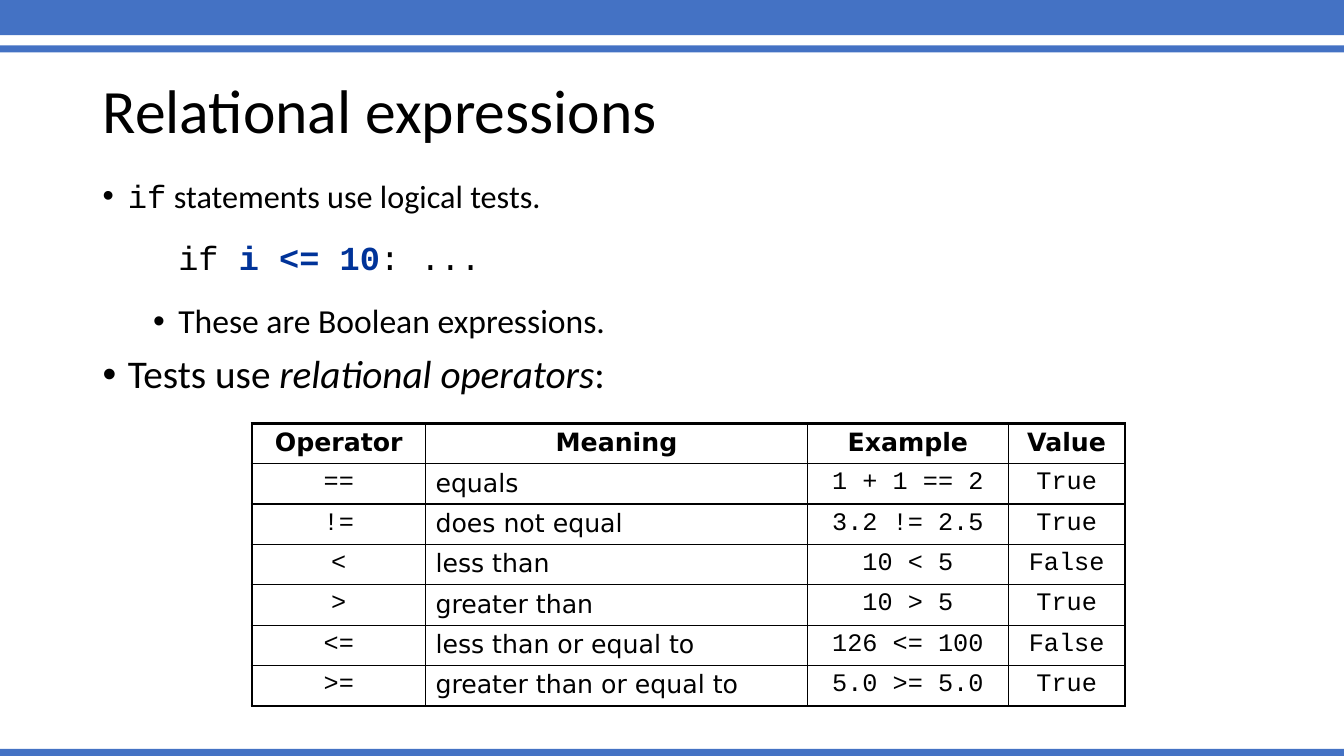
from dataclasses import dataclass

from lxml.etree import SubElement
from pptx import Presentation
from pptx.dml.color import RGBColor
from pptx.enum.shapes import MSO_SHAPE
from pptx.enum.text import MSO_ANCHOR, PP_ALIGN
from pptx.oxml import parse_xml
from pptx.oxml.ns import nsdecls, qn
from pptx.slide import Slide
from pptx.table import _Cell
from pptx.text.text import TextFrame, _Paragraph
from pptx.util import Inches, Pt

COLORS = {"bar": "4472C4", "text": "000000", "condition": "003399"}
SANS, MONO, TABLE_SANS = "Calibri", "Courier New", "DejaVu Sans"
SLIDE_WIDTH, SLIDE_HEIGHT = 13.33, 7.5


@dataclass(frozen=True)
class Bar:
    top: float
    height: float


@dataclass(frozen=True)
class Span:
    words: str
    size: float
    font: str = SANS
    color: str = "text"
    bold: bool = False
    italic: bool = False


@dataclass(frozen=True)
class Line:
    spans: tuple[Span, ...]
    margin: float = 0
    space_before: float = 0
    bullet: bool = False


@dataclass(frozen=True)
class Column:
    heading: str
    width: float
    font: str
    align: PP_ALIGN


BARS = (Bar(0, 0.35), Bar(0.45, 0.07), Bar(7.43, 0.07))

TITLE = (Line((Span("Relational expressions", 44),)),)

BODY = (
    Line((Span("if", 23, MONO), Span(" statements use logical tests.", 23)), 0.25, 10, True),
    Line(
        (
            Span("if ", 24, MONO),
            Span("i <= 10", 24, MONO, "condition", bold=True),
            Span(": ...", 24, MONO),
        ),
        0.75,
        19,
    ),
    Line((Span("These are Boolean expressions.", 24),), 0.75, 19, True),
    Line(
        (Span("Tests use ", 28), Span("relational operators", 28, italic=True), Span(":", 28)),
        0.25,
        10,
        True,
    ),
)

COLUMNS = (
    Column("Operator", 1.72, MONO, PP_ALIGN.CENTER),
    Column("Meaning", 3.79, TABLE_SANS, PP_ALIGN.LEFT),
    Column("Example", 1.99, MONO, PP_ALIGN.CENTER),
    Column("Value", 1.16, MONO, PP_ALIGN.CENTER),
)

OPERATORS = (
    ("==", "equals", "1 + 1 == 2", "True"),
    ("!=", "does not equal", "3.2 != 2.5", "True"),
    ("<", "less than", "10 < 5", "False"),
    (">", "greater than", "10 > 5", "True"),
    ("<=", "less than or equal to", "126 <= 100", "False"),
    (">=", "greater than or equal to", "5.0 >= 5.0", "True"),
)


def rgb(name: str) -> RGBColor:
    return RGBColor.from_string(COLORS[name])


def add_span(paragraph: _Paragraph, span: Span) -> None:
    run = paragraph.add_run()
    run.text = span.words
    run.font.name = span.font
    run.font.size = Pt(span.size)
    run.font.bold = span.bold
    run.font.italic = span.italic
    run.font.color.rgb = rgb(span.color)


def write_lines(frame: TextFrame, lines: tuple[Line, ...]) -> None:
    for index, line in enumerate(lines):
        paragraph = frame.add_paragraph() if index else frame.paragraphs[0]
        paragraph.line_spacing = 0.9
        paragraph.space_before = Pt(line.space_before)
        properties = paragraph._p.get_or_add_pPr()
        properties.set("marL", str(Inches(line.margin)))
        if line.bullet:
            properties.set("indent", str(Inches(-0.25)))
            SubElement(properties, qn("a:buFont"), typeface="Arial")
            SubElement(properties, qn("a:buChar"), char="•")
        for span in line.spans:
            add_span(paragraph, span)


def add_text(
    slide: Slide, top: float, height: float, lines: tuple[Line, ...], anchor: MSO_ANCHOR
) -> None:
    frame = slide.shapes.add_textbox(
        Inches(0.92), Inches(top), Inches(11.5), Inches(height)
    ).text_frame
    frame.word_wrap = True
    frame.vertical_anchor = anchor
    write_lines(frame, lines)


def add_bar(slide: Slide, bar: Bar) -> None:
    shape = slide.shapes.add_shape(
        MSO_SHAPE.RECTANGLE, 0, Inches(bar.top), Inches(SLIDE_WIDTH), Inches(bar.height)
    )
    shape.shadow.inherit = False
    shape.fill.solid()
    shape.fill.fore_color.rgb = rgb("bar")
    shape.line.fill.background()


def set_borders(cell: _Cell, outer_edges: dict[str, bool]) -> None:
    properties = cell._tc.get_or_add_tcPr()
    for index, (edge, is_outer) in enumerate(outer_edges.items()):
        border = parse_xml(
            f'<a:{edge} {nsdecls("a")} w="{Pt(2.25 if is_outer else 1)}"><a:solidFill>'
            f'<a:srgbClr val="{COLORS["text"]}"/></a:solidFill></a:{edge}>'
        )
        properties.insert(index, border)


def add_operator_table(slide: Slide) -> None:
    rows = (tuple(column.heading for column in COLUMNS), *OPERATORS)
    row_height = Inches(0.4)
    table = slide.shapes.add_table(
        len(rows), len(COLUMNS), Inches(2.5), Inches(4.2),
        Inches(sum(column.width for column in COLUMNS)), row_height * len(rows),
    ).table
    table.first_row = False
    table.horz_banding = False
    for column_index, column in enumerate(COLUMNS):
        table.columns[column_index].width = Inches(column.width)
    for row_index, row in enumerate(rows):
        table.rows[row_index].height = row_height
        is_heading = row_index == 0
        for column_index, (column, words) in enumerate(zip(COLUMNS, row)):
            cell = table.cell(row_index, column_index)
            cell.fill.background()
            paragraph = cell.text_frame.paragraphs[0]
            paragraph.alignment = PP_ALIGN.CENTER if is_heading else column.align
            font = TABLE_SANS if is_heading else column.font
            add_span(paragraph, Span(words, 18, font, bold=is_heading))
            set_borders(cell, {
                "lnL": column_index == 0,
                "lnR": column_index == len(COLUMNS) - 1,
                "lnT": is_heading,
                "lnB": row_index == len(rows) - 1,
            })


presentation = Presentation()
presentation.slide_width = Inches(SLIDE_WIDTH)
presentation.slide_height = Inches(SLIDE_HEIGHT)
slide = presentation.slides.add_slide(presentation.slide_layouts[6])
for bar in BARS:
    add_bar(slide, bar)
add_text(slide, 0.4, 1.45, TITLE, MSO_ANCHOR.MIDDLE)
add_text(slide, 1.74, 4.76, BODY, MSO_ANCHOR.TOP)
add_operator_table(slide)
presentation.save("out.pptx")
